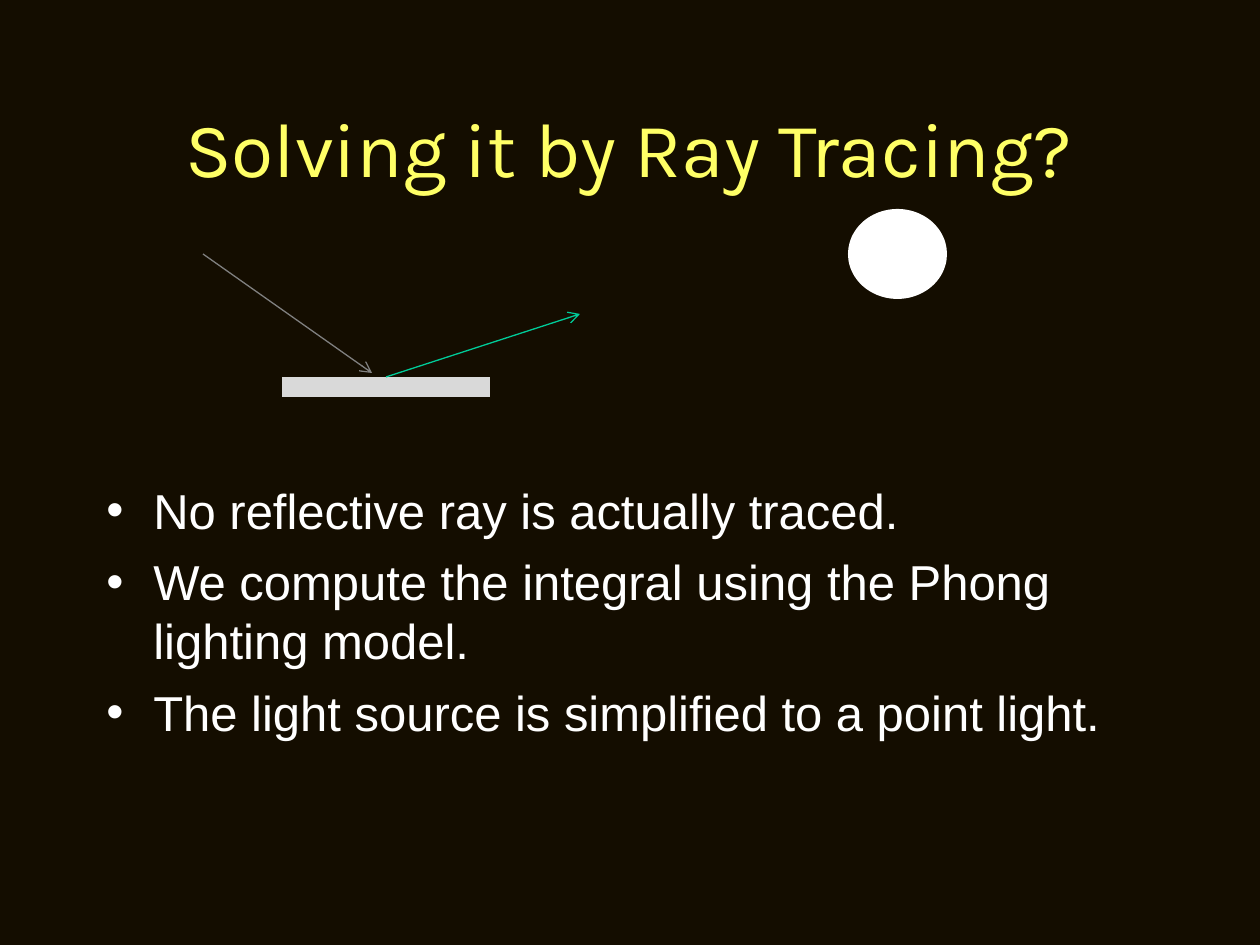
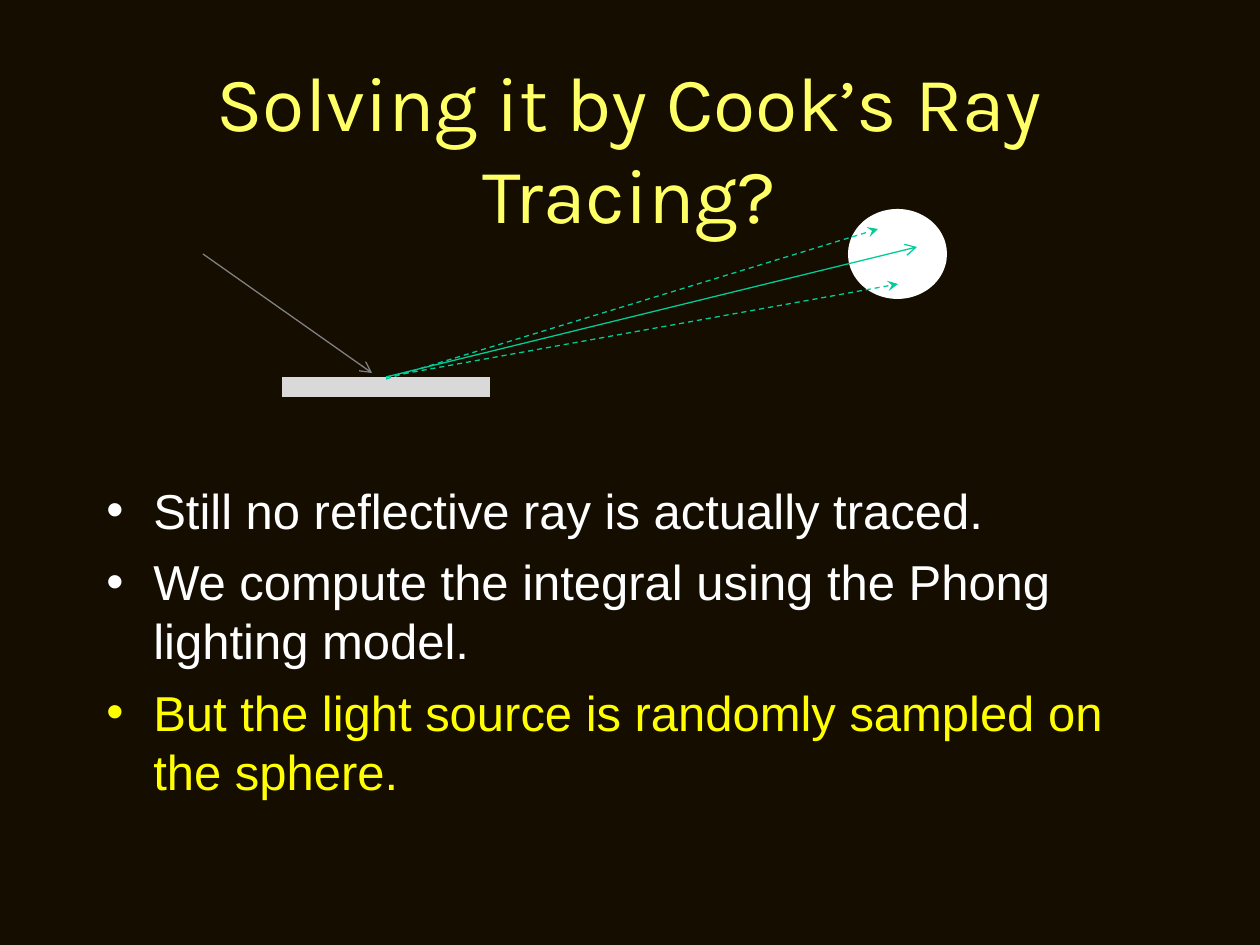
import pptx
import pptx.util
import pptx.dml.color
import pptx.enum.dml
import pptx.enum.shapes
import pptx.enum.text
import pptx.oxml.ns
import lxml.etree

DARK, PALE, WHITE, GOLD = "140D00", "FFFF66", "FFFFFF", "FFFF00"
SLAB, GREY, GREEN = "D9D9D9", "808080", "00CC99"
WIDE, HIGH = 1260, 945
TITLE = (94, 89, 1071, 116)
SCENE = (203, 209)
BODY = (94, 474, 1071, 416)
ALIGN = pptx.enum.text.PP_ALIGN
ANCHOR = pptx.enum.text.MSO_ANCHOR
SHAPE = pptx.enum.shapes.MSO_SHAPE
DASH = pptx.enum.dml.MSO_LINE.DASH


def emu(px):
    return round(px * 914400 / 126)


def color(code):
    return pptx.dml.color.RGBColor.from_string(code)


def child(node, tag, **attrs):
    return lxml.etree.SubElement(node, pptx.oxml.ns.qn(tag), attrs)


def bullet(para, code):
    props = para._p.get_or_add_pPr()
    props.set("marL", str(emu(47)))
    props.set("indent", str(-emu(47)))
    tint = child(props, "a:buClr")
    child(tint, "a:srgbClr", val=code)
    child(props, "a:buFont", typeface="Arial")
    child(props, "a:buChar", char="•")


def write(slide, box, lines, font, size, pitch, align=ALIGN.LEFT,
          anchor=ANCHOR.TOP, dots=False, gap=0):
    frame = slide.shapes.add_textbox(*map(emu, box)).text_frame
    frame.word_wrap = True
    frame.vertical_anchor = anchor
    for i, (text, code) in enumerate(lines):
        para = frame.add_paragraph() if i else frame.paragraphs[0]
        para.alignment = align
        para.line_spacing = pptx.util.Pt(pitch)
        para.space_before = pptx.util.Pt(gap if i else 0)
        if dots:
            bullet(para, code)
        run = para.add_run()
        run.text = text
        run.font.name = font
        run.font.size = pptx.util.Pt(size)
        run.font.color.rgb = color(code)


def solid(slide, kind, box, code):
    shape = slide.shapes.add_shape(kind, *map(emu, box))
    shape.shadow.inherit = False
    shape.fill.solid()
    shape.fill.fore_color.rgb = color(code)
    shape.line.fill.background()
    return shape


def arrow(slide, start, end, code, dashed=False):
    line = slide.shapes.add_connector(
        pptx.enum.shapes.MSO_CONNECTOR.STRAIGHT, *map(emu, start + end))
    line.line.color.rgb = color(code)
    line.line.width = pptx.util.Pt(0.75)
    if dashed:
        line.line.dash_style = DASH
    child(line.line._get_or_add_ln(), "a:tailEnd",
          type="stealth" if dashed else "arrow")
    child(line._element.spPr, "a:effectLst")
    return line


def scene(slide, spot, rays):
    x, y = spot
    solid(slide, SHAPE.OVAL, (x + 645, y, 99, 90), WHITE)
    slab = solid(slide, SHAPE.RECTANGLE, (x + 79, y + 168, 208, 20), SLAB)
    arrow(slide, (x, y + 45), (x + 169, y + 164), GREY)
    for drop, across, down, dashed in rays:
        ray = arrow(slide, (x + 183, y + 168 + drop),
                    (x + across, y + down), GREEN, dashed)
        if not drop:
            ray.begin_connect(slab, 0)


def page(deck, title, points, rays):
    slide = deck.slides.add_slide(deck.slide_layouts[6])
    slide.background.fill.solid()
    slide.background.fill.fore_color.rgb = color(DARK)
    scene(slide, SCENE, rays)
    write(slide, TITLE, [(title, PALE)], "Karla", 44, 52.5,
          align=ALIGN.CENTER, anchor=ANCHOR.MIDDLE)
    write(slide, BODY, points, "Arial", 28, 33.75, dots=True, gap=7)


def main():
    deck = pptx.Presentation()
    deck.slide_width, deck.slide_height = emu(WIDE), emu(HIGH)
    model = ("We compute the integral using the Phong lighting model.", WHITE)
    page(deck, "Solving it by Ray Tracing?",
         [("No reflective ray is actually traced.", WHITE), model,
          ("The light source is simplified to a point light.", WHITE)],
         [(0, 377, 105, False)])
    page(deck, "Solving it by Cook’s Ray Tracing?",
         [("Still no reflective ray is actually traced.", WHITE), model,
          ("But the light source is randomly sampled on the sphere.", GOLD)],
         [(0, 714, 38, False), (0, 695, 75, True), (2, 675, 20, True)])
    deck.save("out.pptx")


if __name__ == "__main__":
    main()
